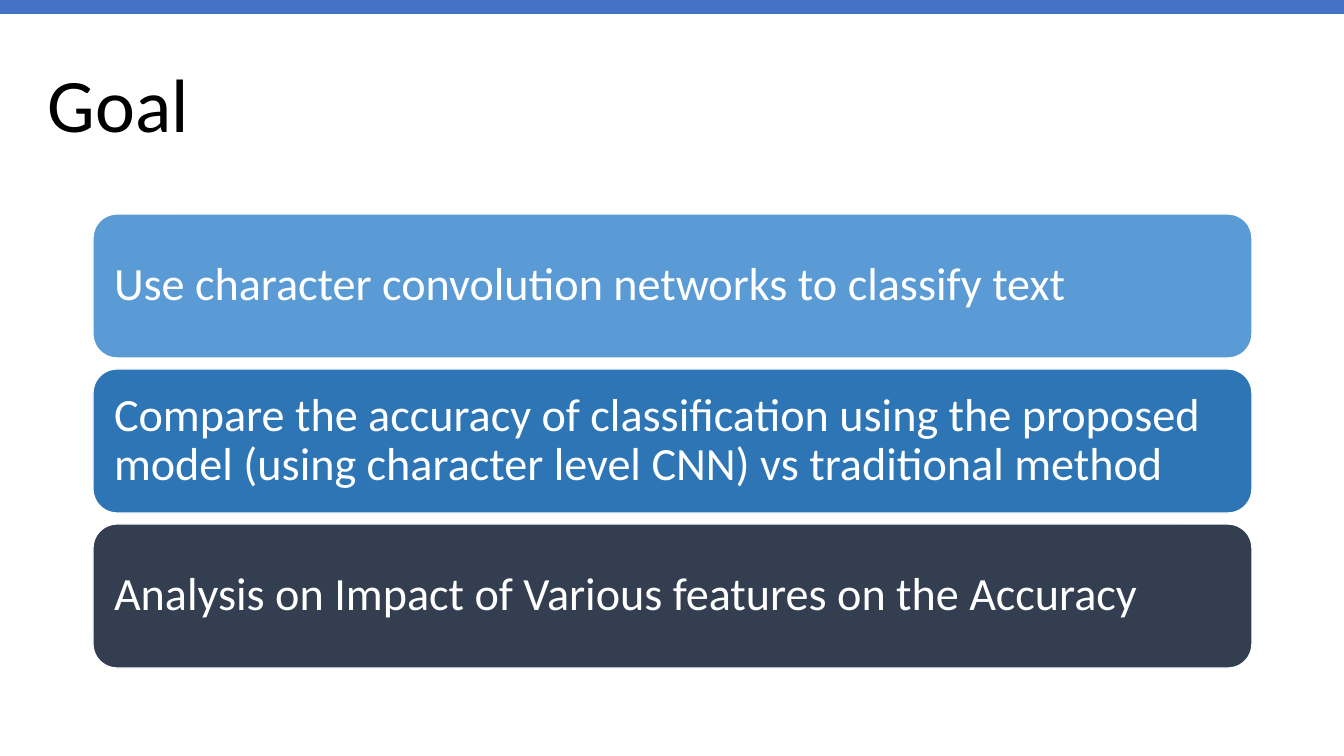
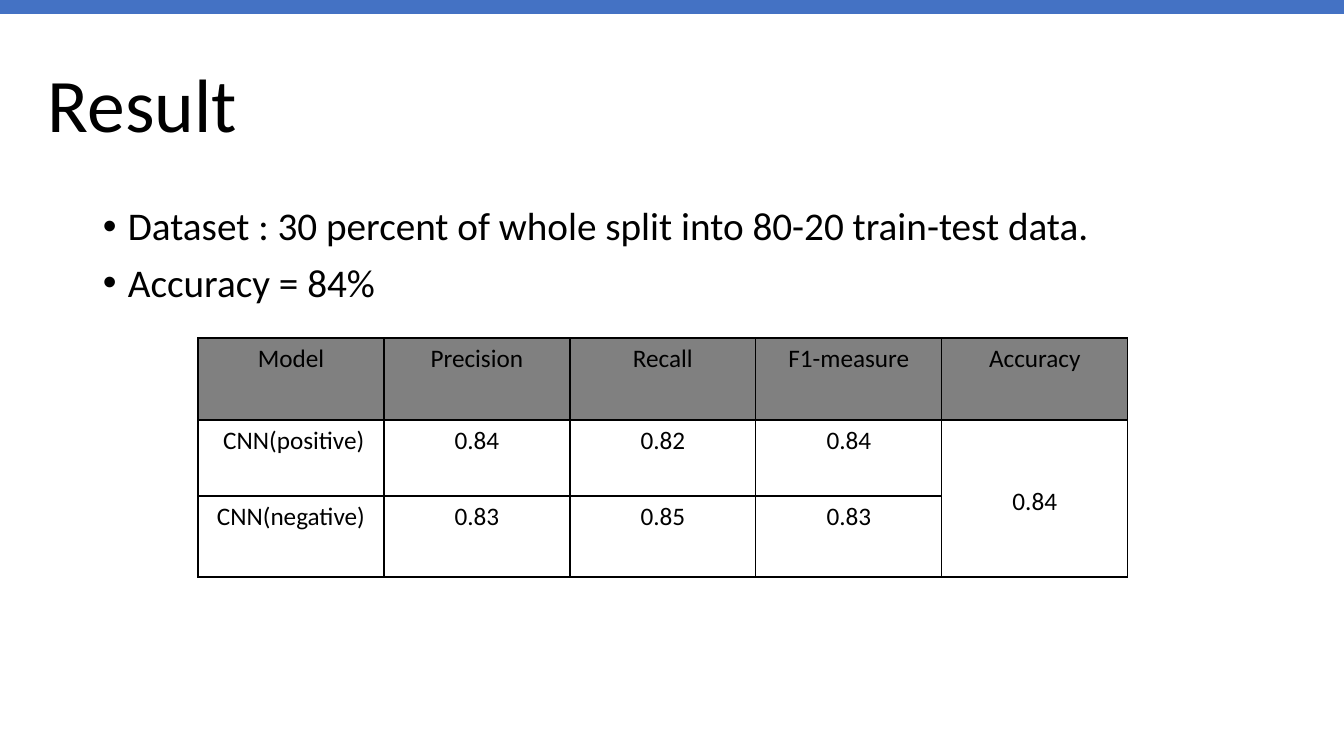
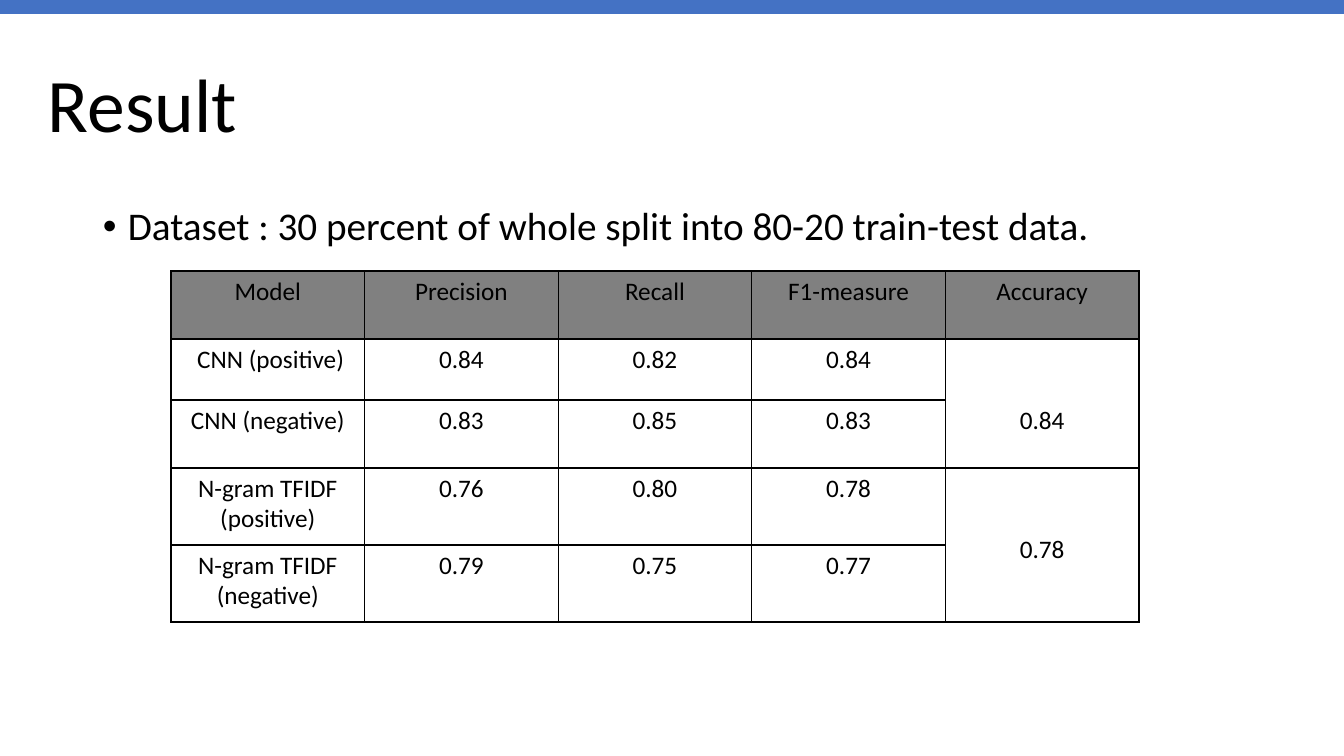
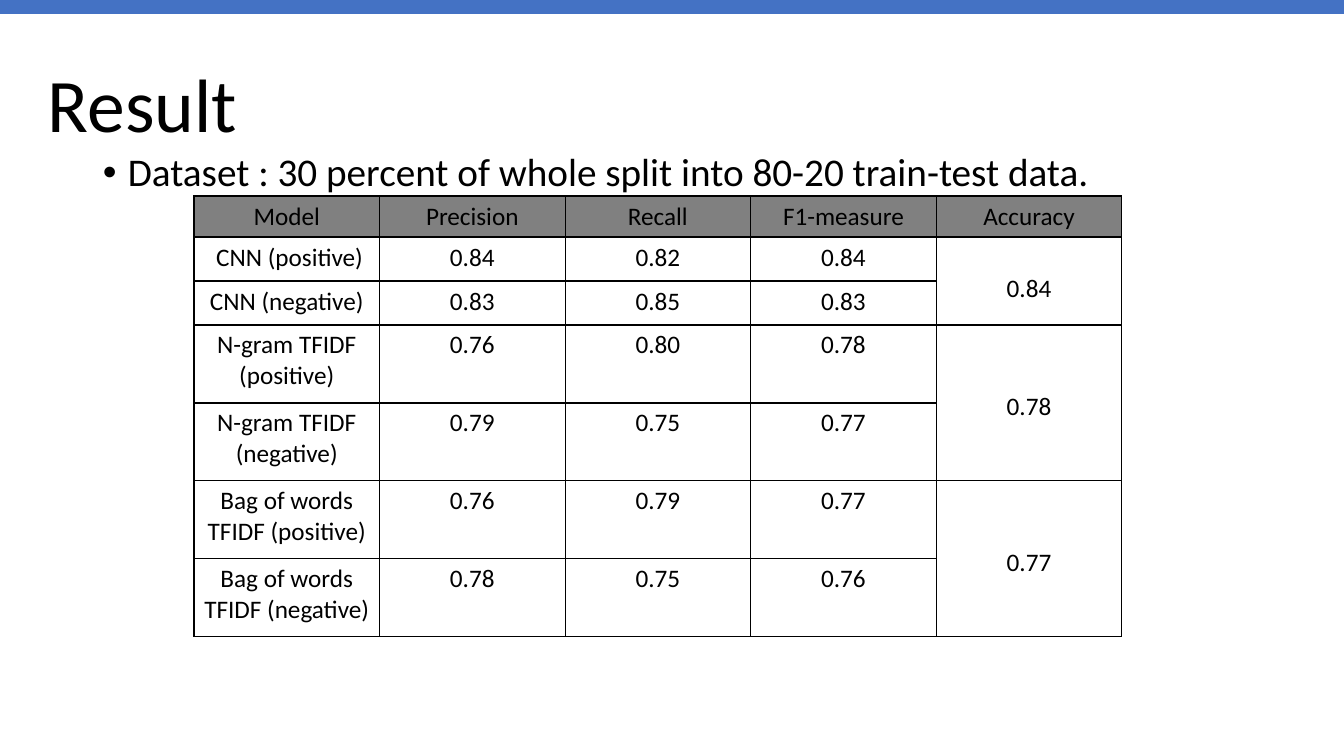
from lxml import etree
from pptx import Presentation, util as u
from pptx.dml.color import RGBColor
from pptx.enum import shapes, text
from pptx.oxml import ns

PX = 914400 / 100.8
WIDTH, HEIGHT = 1344, 756
FONT = "Calibri"
BLACK, WHITE, BLUE, GREY = "000000", "FFFFFF", "4472C4", "808080"

GOALS = [
    ("Use character convolution networks to classify text", "5B9BD5"),
    ("Compare the accuracy of classification using the proposed model "
     "(using character level CNN) vs traditional method", "2E75B6"),
    ("Analysis on Impact of Various features on the Accuracy", "333F50"),
]

HEADERS = ["Model", "Precision", "Recall", "F1-measure", "Accuracy"]
DATASET = "Dataset : 30 percent of whole split into 80-20 train-test data."

# Accuracy, then precision, recall and F1 for the positive and negative class
CNN = ("0.84", ("0.84", "0.82", "0.84"), ("0.83", "0.85", "0.83"))
NGRAM = ("0.78", ("0.76", "0.80", "0.78"), ("0.79", "0.75", "0.77"))
WORDS = ("0.77", ("0.76", "0.79", "0.77"), ("0.78", "0.75", "0.76"))

# Each group: positive label, negative label, scores, drop of the accuracy value
RESULTS = [
    dict(bullets=[DATASET, "Accuracy = 84%"], bullets_top=202,
         left=198, top=338, width=930, rows=[82, 76, 81],
         groups=[(" CNN(positive)", "CNN(negative)", CNN, 62)]),
    dict(bullets=[DATASET], bullets_top=202,
         left=171, top=271, width=968, rows=[68, 61, 68, 77, 77],
         groups=[(" CNN (positive)", "CNN (negative)", CNN, 62),
                 ("N-gram TFIDF (positive)", "N-gram TFIDF (negative)", NGRAM, 62)]),
    dict(bullets=[DATASET], bullets_top=148,
         left=194, top=196, width=928, rows=[41, 44, 44, 78, 78, 78, 78],
         groups=[(" CNN (positive)", "CNN (negative)", CNN, 31),
                 ("N-gram TFIDF (positive)", "N-gram TFIDF (negative)", NGRAM, 62),
                 ("Bag of words TFIDF (positive)", "Bag of words TFIDF (negative)",
                  WORDS, 62)]),
]


def px(length):
    return u.Emu(round(length * PX))


def color(value):
    return RGBColor.from_string(value)


def write(frame, lines, size, ink=BLACK, align=text.PP_ALIGN.LEFT,
          anchor=text.MSO_ANCHOR.TOP, spacing=None, before=0, bullet=None):
    """Fill a text frame with one paragraph per line."""
    frame.word_wrap = True
    frame.vertical_anchor = anchor
    for index, line in enumerate(lines):
        para = frame.paragraphs[0] if index == 0 else frame.add_paragraph()
        para.alignment = align
        para.line_spacing = spacing
        para.space_before = u.Pt(before)
        if bullet:
            props = para._p.get_or_add_pPr()
            props.set("marL", str(px(25)))
            props.set("indent", str(-px(25)))
            etree.SubElement(props, ns.qn("a:buFont"), typeface="Arial")
            etree.SubElement(props, ns.qn("a:buChar"), char=bullet)
        span = para.add_run()
        span.text = line
        span.font.name = FONT
        span.font.size = u.Pt(size)
        span.font.bold = False
        span.font.color.rgb = color(ink)


def add_box(page, kind, left, top, width, height, fill, line=None):
    box = page.shapes.add_shape(kind, px(left), px(top), px(width), px(height))
    box.shadow.inherit = False
    box.fill.solid()
    box.fill.fore_color.rgb = color(fill)
    if line:
        box.line.color.rgb = color(line)
        box.line.width = u.Pt(1)
    else:
        box.line.fill.background()
    return box


def add_text(page, left, top, width, height, lines, size, **style):
    box = page.shapes.add_textbox(px(left), px(top), px(width), px(height))
    write(box.text_frame, lines, size, **style)


def add_page(deck, title):
    """Add a blank slide with the shared title and top band."""
    page = deck.slides.add_slide(deck.slide_layouts[6])
    add_text(page, 38, 35, 1258, 146, [title], 54,
             anchor=text.MSO_ANCHOR.MIDDLE, spacing=0.9)
    add_box(page, shapes.MSO_SHAPE.RECTANGLE, 0, 0, WIDTH, 14, BLUE)
    return page


def add_goals(page, left=93, top=214, width=1159, height=144, gap=11):
    for index, (goal, fill) in enumerate(GOALS):
        card = add_box(page, shapes.MSO_SHAPE.ROUNDED_RECTANGLE, left,
                       top + index * (height + gap), width, height, fill, WHITE)
        frame = card.text_frame
        frame.margin_left = frame.margin_right = px(14)
        frame.margin_top = frame.margin_bottom = px(14)
        write(frame, [goal], 33, ink=WHITE, spacing=0.9,
              anchor=text.MSO_ANCHOR.MIDDLE)


def style_cell(cell, fill):
    """Give a cell black borders, narrow side margins and a fill."""
    props = cell._tc.get_or_add_tcPr()
    for side in ("lnL", "lnR", "lnT", "lnB"):
        line = etree.SubElement(props, ns.qn(f"a:{side}"), w=str(u.Pt(1)))
        solid = etree.SubElement(line, ns.qn("a:solidFill"))
        etree.SubElement(solid, ns.qn("a:srgbClr"), val=BLACK)
    cell.margin_left = cell.margin_right = px(7)
    cell.fill.solid()
    cell.fill.fore_color.rgb = color(fill)


def add_scores(page, left, top, width, rows, groups):
    table = page.shapes.add_table(len(rows), len(HEADERS), px(left), px(top),
                                  px(width), px(sum(rows))).table
    table.first_row = table.horz_banding = False
    for column in table.columns:
        column.width = px(width / len(HEADERS))
    for row, height in zip(table.rows, rows):
        row.height = px(height)

    lines = [HEADERS]
    for positive, negative, (accuracy, *scores), _ in groups:
        lines += [(positive, *scores[0], accuracy), (negative, *scores[1])]
    for r, line in enumerate(lines):
        for c in range(len(HEADERS)):
            cell = table.cell(r, c)
            style_cell(cell, GREY if r == 0 else WHITE)
            if c < len(line):
                write(cell.text_frame, [line[c]], 18, align=text.PP_ALIGN.CENTER)

    last = len(HEADERS) - 1
    for index, (*_, drop) in enumerate(groups):
        cell = table.cell(1 + 2 * index, last)
        cell.merge(table.cell(2 + 2 * index, last))
        cell.margin_top = px(5 + drop)


def main():
    deck = Presentation()
    deck.slide_width, deck.slide_height = px(WIDTH), px(HEIGHT)
    add_goals(add_page(deck, "Goal"))
    for result in RESULTS:
        page = add_page(deck, "Result")
        bullets_top = result["bullets_top"]
        add_text(page, 93, bullets_top, 1159, 681 - bullets_top,
                 result["bullets"], 28, spacing=0.9, before=10, bullet="•")
        add_scores(page, *(result[key] for key in
                           ("left", "top", "width", "rows", "groups")))
    deck.save("out.pptx")


if __name__ == "__main__":
    main()
